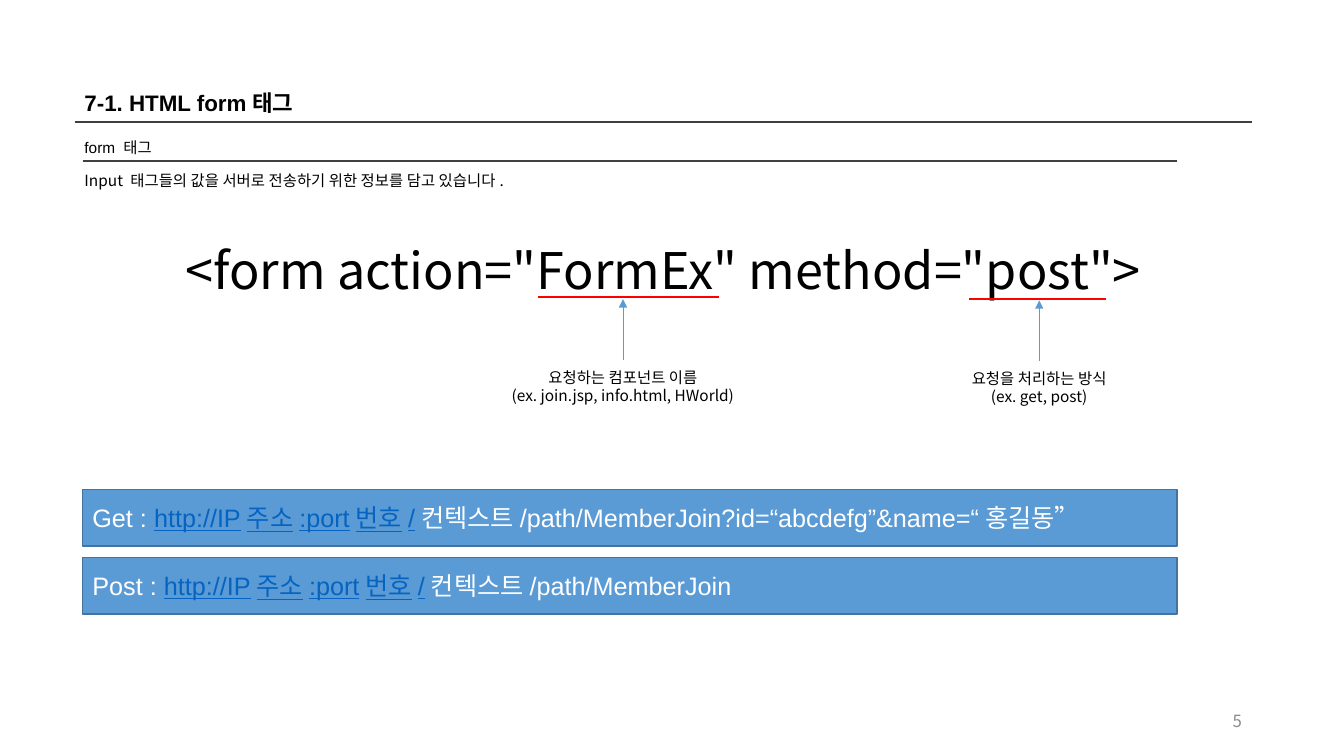
from lxml import etree
from pptx import Presentation
from pptx import util as u
from pptx.dml.color import RGBColor
from pptx.enum import shapes, text
from pptx.oxml.ns import qn

LATIN, KOREAN = "Arial", "Noto Sans CJK KR"
BLACK, GRAY, DARK, WHITE = "000000", "8C8C8C", "404040", "FFFFFF"
RED, BLUE, BLUE_EDGE, LINK = "FF0000", "5B9BD5", "43739E", "0563C1"
LEFT, CENTER, RIGHT = text.PP_ALIGN.LEFT, text.PP_ALIGN.CENTER, text.PP_ALIGN.RIGHT
TOP, MIDDLE = text.MSO_ANCHOR.TOP, text.MSO_ANCHOR.MIDDLE


def rgb(color):
    return RGBColor.from_string(color)


def cm(*lengths):
    return [u.Cm(n) for n in lengths]


def add_run(p, words, color=BLACK, **fmt):
    r = p.add_run()
    r.text = words
    r.font.color.rgb = rgb(color)
    for key, value in fmt.items():
        setattr(r.font, key, value)
    # Hangul takes its typeface from the East Asian slot
    etree.SubElement(r._r.get_or_add_rPr(), qn("a:ea"), typeface=KOREAN)


def add_text(s, x, y, w, h, lines, size, name=KOREAN, align=LEFT, anchor=TOP,
             color=BLACK, bold=False):
    tf = s.shapes.add_textbox(*cm(x, y, w, h)).text_frame
    tf.word_wrap = True
    tf.vertical_anchor = anchor
    for i, line in enumerate(lines):
        p = tf.add_paragraph() if i else tf.paragraphs[0]
        p.alignment = align
        add_run(p, line, color, size=u.Pt(size), name=name, bold=bold)


def add_line(s, x1, y1, x2, y2, color, width, arrow=False):
    line = s.shapes.add_connector(shapes.MSO_CONNECTOR.STRAIGHT, *cm(x1, y1, x2, y2))
    line.line.color.rgb = rgb(color)
    line.line.width = u.Pt(width)
    if arrow:
        etree.SubElement(line.line._get_or_add_ln(), qn("a:tailEnd"), type="triangle")
    etree.SubElement(line._element.spPr, qn("a:effectLst"))


def add_callout(s, x, y, lines):
    """Arrow pointing up to height y, with a centred caption below it."""
    add_line(s, x, y + 1.52, x, y, BLUE, 0.5, arrow=True)
    add_text(s, x - 4.19, y + 1.6, 8.38, 1.19, lines, 11, align=CENTER)


def add_url_bar(s, y, method, rest):
    sp = s.shapes.add_shape(shapes.MSO_SHAPE.RECTANGLE, *cm(2.08, y, 27.58, 1.42))
    sp.shadow.inherit = False
    sp.fill.solid()
    sp.fill.fore_color.rgb = rgb(BLUE)
    sp.line.color.rgb = rgb(BLUE_EDGE)
    sp.line.width = u.Pt(1)
    tf = sp.text_frame
    tf.word_wrap = True
    tf.vertical_anchor = MIDDLE
    p = tf.paragraphs[0]
    p.alignment = LEFT
    fmt = dict(size=u.Pt(18), name=LATIN)
    add_run(p, f"{method} : ", WHITE, **fmt)
    add_run(p, "http://IP주소:port번호/", LINK, underline=True, **fmt)
    add_run(p, rest, WHITE, **fmt)


def main():
    prs = Presentation()
    prs.slide_width, prs.slide_height = cm(33.87, 19.05)
    s = prs.slides.add_slide(prs.slide_layouts[6])

    x, w = 1.88, 29.67
    add_text(s, x, 2.11, w, 0.94, ["7-1. HTML form태그"], 16, LATIN, bold=True)
    add_line(s, x, 3.07, x + w, 3.07, DARK, 1)
    add_text(s, x, 3.35, w, 0.74, ["form 태그"], 11, LATIN)
    add_line(s, 2.08, 4.06, 29.66, 4.06, DARK, 1)
    add_text(s, x, 4.19, w, 0.74,
             ["Input 태그들의 값을 서버로 전송하기 위한 정보를 담고 있습니다."], 11)

    add_text(s, x, 5.89, w, 1.8, ['<form action="FormEx" method="post">'], 36, align=CENTER)
    add_line(s, 13.56, 7.49, 18.11, 7.49, RED, 1.5)
    add_line(s, 24.41, 7.54, 27.86, 7.54, RED, 1.5)
    add_callout(s, 15.7, 7.54, ["요청하는 컴포넌트 이름", "(ex. join.jsp, info.html, HWorld)"])
    add_callout(s, 26.19, 7.57, ["요청을 처리하는 방식", "(ex. get, post)"])

    add_url_bar(s, 12.34, "Get", "컨텍스트/path/MemberJoin?id=“abcdefg”&name=“홍길동”")
    add_url_bar(s, 14.05, "Post", "컨텍스트/path/MemberJoin")

    add_text(s, 23.93, 17.65, 7.62, 1.02, ["5"], 12, align=RIGHT, anchor=MIDDLE, color=GRAY)
    prs.save("out.pptx")


if __name__ == "__main__":
    main()
